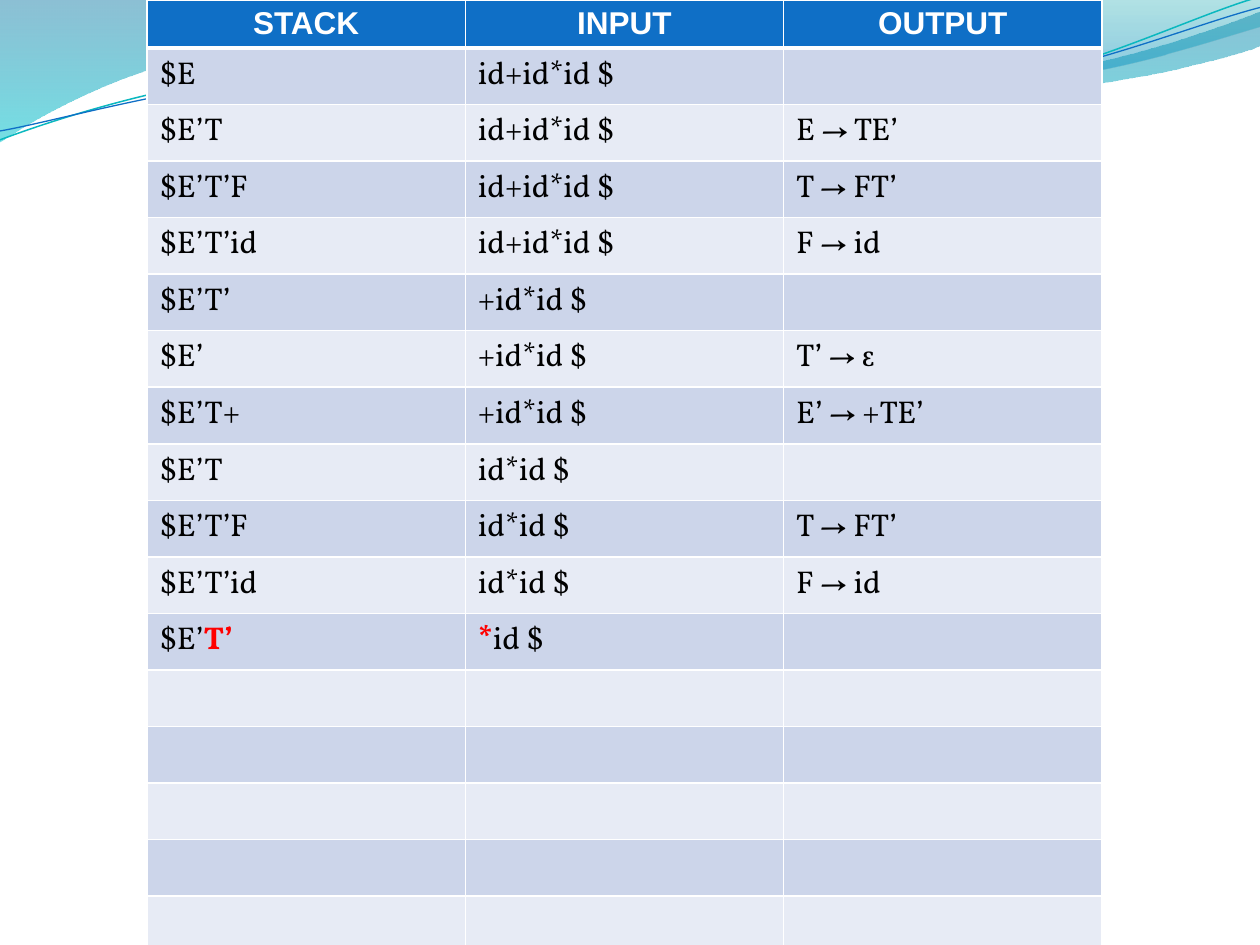
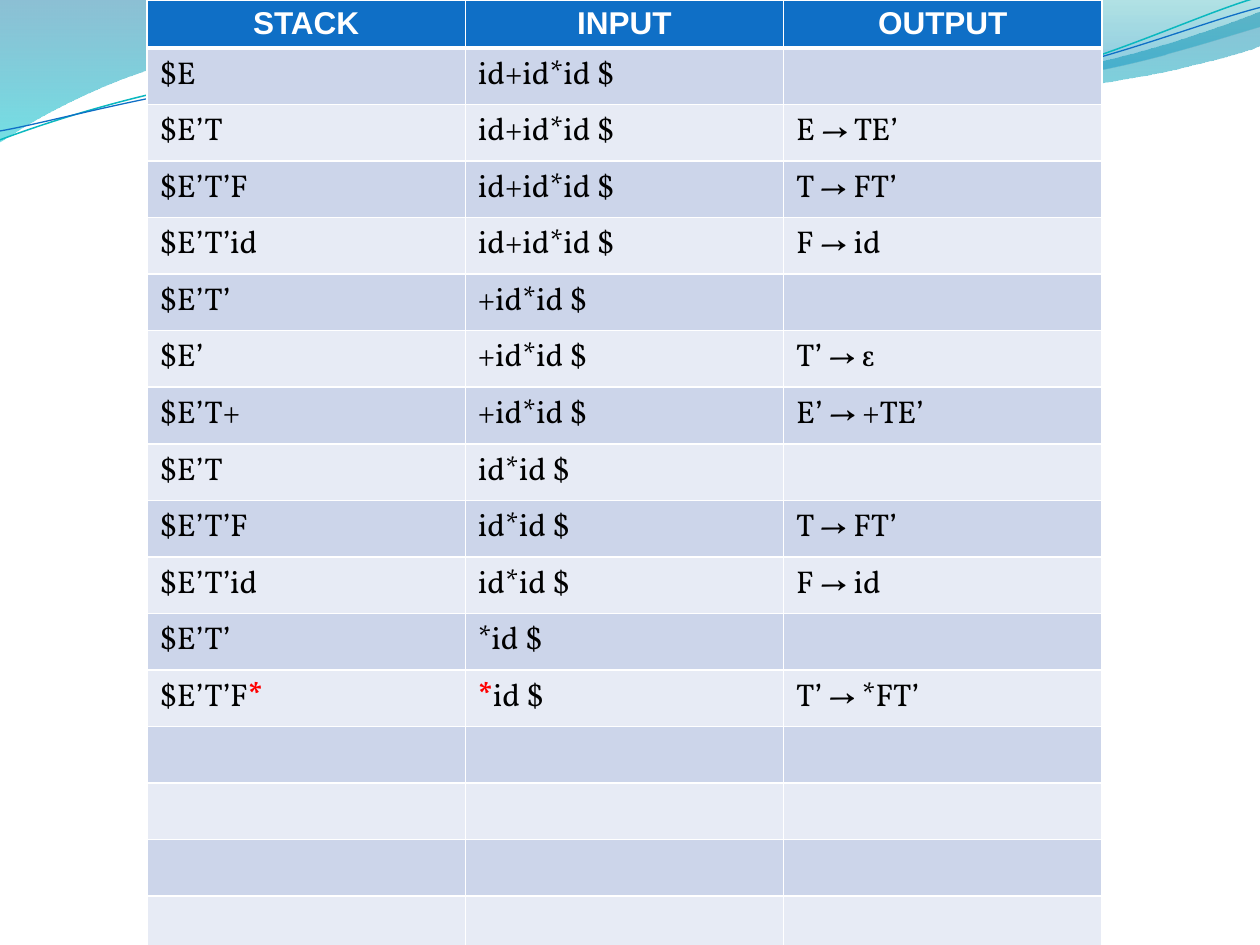
from math import cos, radians, sin

from lxml import etree
from pptx import Presentation
from pptx.dml.color import RGBColor
from pptx.enum.text import PP_ALIGN
from pptx.oxml.ns import qn
from pptx.util import Emu, Inches, Pt

CENTER, LEFT = PP_ALIGN.CENTER, PP_ALIGN.LEFT

# Content: text between bars is highlighted
HEAD = ("STACK", "INPUT", "OUTPUT")
STEPS = [
    ("$E", "id+id*id $", ""),
    ("$E’T", "id+id*id $", "E → TE’"),
    ("$E’T’F", "id+id*id $", "T → FT’"),
    ("$E’T’id", "id+id*id $", "F → id"),
    ("$E’T’", "+id*id $", ""),
    ("$E’", "+id*id $", "T’ → ε"),
    ("$E’T+", "+id*id $", "E’ → +TE’"),
    ("$E’T", "id*id $", ""),
    ("$E’T’F", "id*id $", "T → FT’"),
    ("$E’T’id", "id*id $", "F → id"),
]
SLIDES = [
    STEPS + [("$E’|T’|", "|*|id $", "")],
    STEPS + [("$E’T’", "*id $", ""), ("$E’T’F|*|", "|*|id $", "T’ → *FT’")],
]

# Shared look
HEX = {"head": "0F6FC6", "odd": "CCD5EA", "even": "E7EBF5", "white": "FFFFFF",
       "text": "000000", "mark": "FF0000", "teal": "0AB8BF"}
FONT, BOLD = "Vollkorn", "Arial"
WIDE, HIGH = 10, 7.5
ROWS, ROW = 18, 0.32
EDGE = WIDE * 7 / 60
COL = 7.58 / len(HEAD)
TURN = -2.7

# Waves: start point, then lines (one point) and curves (three points)
BANDS = [
    ((0, -0.01), [
        [(4.4, -0.01)],
        [(4.76, 0.17), (6.64, 0.63), (7.58, 0.63)],
        [(8.53, 0.63), (9.58, 0.26), (10, 0.09)],
        [(10.01, 0.36)],
        [(9.83, 0.44), (8.7, 0.76), (7.46, 0.75)],
        [(6.22, 0.75), (3.82, 0.28), (2.57, 0.34)],
        [(1.29, 0.35), (0.46, 0.83), (-0.01, 1.13)],
        [(0, -0.01)],
    ], [(0, "0074A1", 45), (1, "00C6CF", 55)]),
    ((4.79, -0.01), [
        [(5.09, 0.11), (6.82, 0.62), (7.69, 0.65)],
        [(8.56, 0.69), (9.61, 0.32), (10, 0.21)],
        [(10, 0)],
        [(4.79, -0.01)],
    ], [(0, "00A1A9", 30), (0.8, "008BBF", 45)]),
]
# Thin lines: also the centre they are turned about, colour and width
LINES = [
    ((0, 1.11), [
        [(0.48, 0.93), (1.58, 0.57), (2.77, 0.52)],
        [(3.95, 0.47), (5.93, 0.89), (7.13, 0.8)],
        [(8.33, 0.71), (9.38, 0.15), (9.98, -0.02)],
    ], (4.99, 0.58), "teal", 0.85),
    ((0, 1.04), [
        [(0.47, 0.96), (1.64, 0.61), (2.83, 0.56)],
        [(4.03, 0.51), (5.97, 0.83), (7.17, 0.75)],
        [(8.36, 0.67), (9.41, 0.21), (10, 0.06)],
    ], (5, 0.59), "head", 0.75),
]


def rgb(name):
    return RGBColor.from_string(HEX.get(name, name))


def spin(dot, mid, angle):
    """Turn a point clockwise about a centre."""
    x, y = dot[0] - mid[0], dot[1] - mid[1]
    c, s = cos(radians(angle)), sin(radians(angle))
    return mid[0] + x * c - y * s, mid[1] + x * s + y * c


def add_path(slide, start, parts, close=False):
    dots = [(Inches(x), Inches(y)) for x, y in [start, *sum(parts, [])]]
    pen = slide.shapes.build_freeform(*dots[0])
    pen.add_line_segments(dots[1:], close=close)
    shape = pen.convert_to_shape()
    shape.shadow.inherit = False
    # Join each group of three points into one curve
    legs = iter(list(shape._element.iter(qn("a:lnTo"))))
    for part in parts:
        group = [next(legs) for _ in part]
        if len(group) == 3:
            curve = etree.Element(qn("a:cubicBezTo"))
            group[0].addprevious(curve)
            for leg in group:
                curve.append(leg[0])
                leg.getparent().remove(leg)
    return shape


def add_waves(slide):
    for start, parts, stops in BANDS:
        band = add_path(slide, start, parts, close=True)
        band.line.fill.background()
        band.fill.gradient()
        band.fill.gradient_angle = 270
        for stop, (place, tint, _) in zip(band.fill.gradient_stops, stops):
            stop.position = place
            stop.color.rgb = rgb(tint)
        tints = band._element.spPr.iter(qn("a:srgbClr"))
        for node, (_, _, alpha) in zip(tints, stops):
            etree.SubElement(node, qn("a:alpha"), val=str(alpha * 1000))
    for start, parts, mid, tint, width in LINES:
        flat = [[spin(dot, mid, -TURN) for dot in part] for part in parts]
        line = add_path(slide, spin(start, mid, -TURN), flat)
        line.rotation = TURN
        line.fill.background()
        line.line.color.rgb = rgb(tint)
        line.line.width = Pt(width)


def put_text(frame, text, font=FONT, size=18, color="text", bold=False, align=LEFT):
    para = frame.paragraphs[0]
    para.alignment = align
    for i, piece in enumerate(text.split("|")):
        if piece:
            run = para.add_run()
            run.text = piece
            run.font.name, run.font.size = font, Pt(size)
            run.font.bold = bold or i % 2 == 1
            run.font.color.rgb = rgb("mark" if i % 2 else color)
    if not text:
        # An empty cell keeps the line height of the font
        end = etree.SubElement(para._p, qn("a:endParaRPr"), sz=str(size * 100))
        etree.SubElement(end, qn("a:latin"), typeface=font)


def set_edges(cell, top, bottom):
    props = cell._tc.get_or_add_tcPr()
    for side, width in zip("LRTB", (1, 1, top, bottom)):
        edge = etree.SubElement(props, qn("a:ln" + side), w=str(Pt(width)))
        fill = etree.SubElement(edge, qn("a:solidFill"))
        etree.SubElement(fill, qn("a:srgbClr"), val=HEX["white"])


def add_grid(slide, steps):
    spare = [("",) * len(HEAD)] * (ROWS - 1 - len(steps))
    grid = slide.shapes.add_table(ROWS, len(HEAD), Inches(EDGE), Emu(0),
                                  Inches(COL * len(HEAD)), Inches(ROW * ROWS)).table
    for r, texts in enumerate([HEAD, *steps, *spare]):
        grid.rows[r].height = Inches(ROW)
        for c, text in enumerate(texts):
            cell = grid.cell(r, c)
            set_edges(cell, 3 if r == 1 else 1, 1 if r else 3)
            cell.fill.solid()
            cell.fill.fore_color.rgb = rgb(("odd" if r % 2 else "even") if r else "head")
            style = {} if r else dict(font=BOLD, color="white", bold=True, align=CENTER)
            put_text(cell.text_frame, text, **style)


def main():
    deck = Presentation()
    deck.slide_width, deck.slide_height = Inches(WIDE), Inches(HIGH)
    for steps in SLIDES:
        slide = deck.slides.add_slide(deck.slide_layouts[6])
        add_waves(slide)
        add_grid(slide, steps)
    deck.save("out.pptx")


if __name__ == "__main__":
    main()
